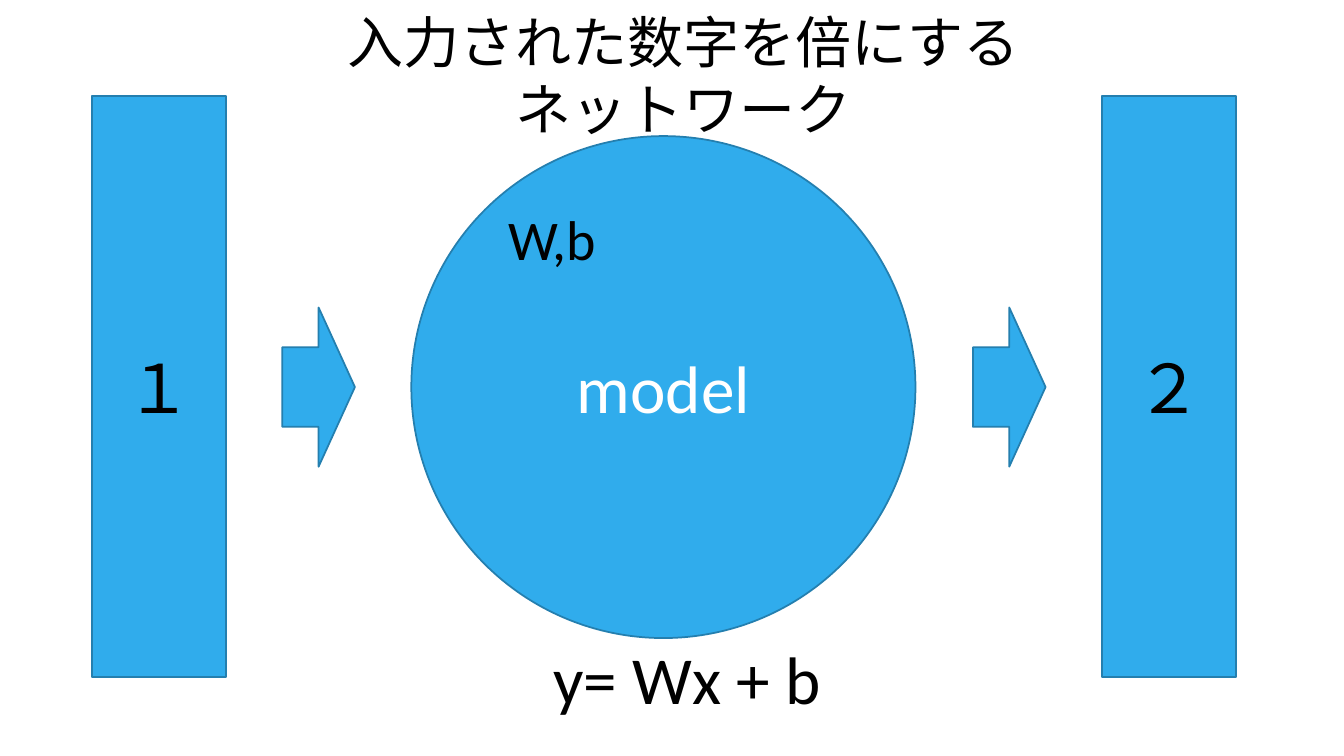
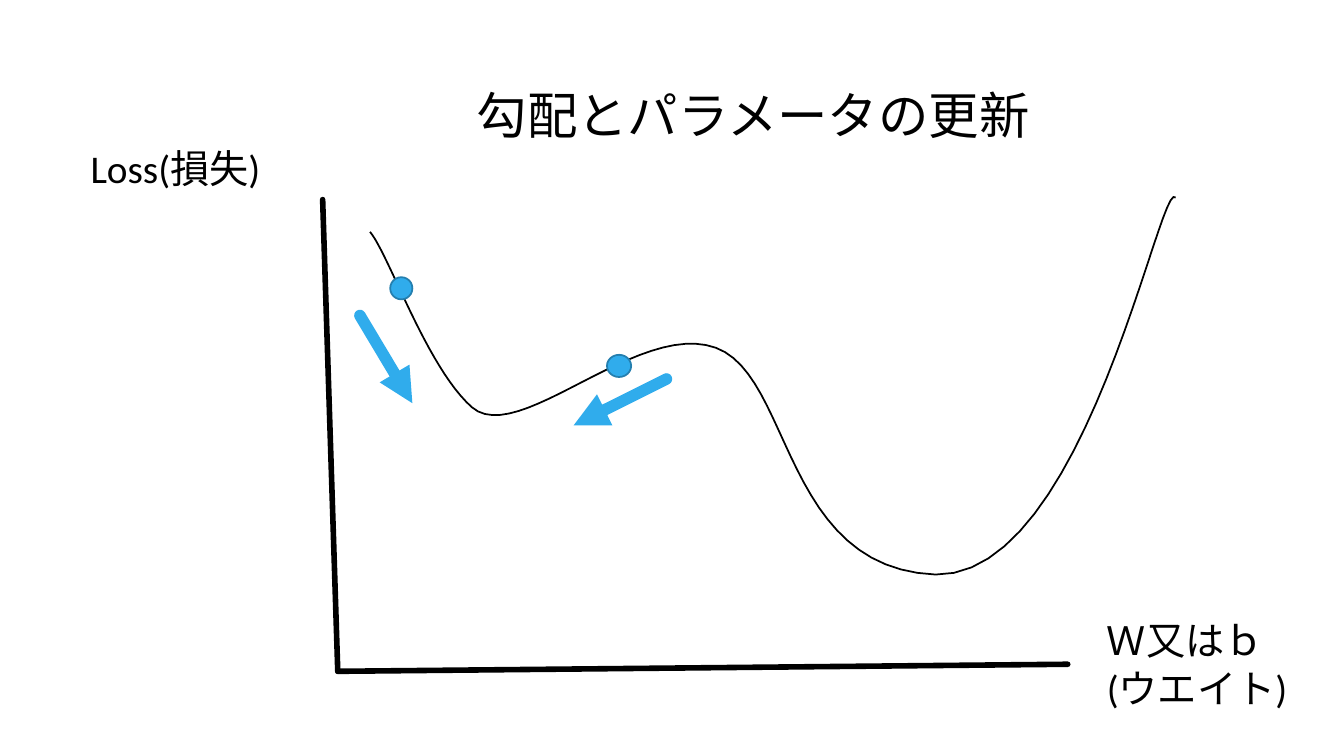
from dataclasses import dataclass
from typing import Any

from lxml import etree
from pptx import Presentation
from pptx import util as u
from pptx.dml.color import RGBColor
from pptx.enum import shapes, text
from pptx.oxml import ns

# Shared scale, colours and formats
PX = 9144  # EMU per px, 100 px to the inch
SLIDE_W, SLIDE_H = 1333, 750
BLUE = RGBColor(0x30, 0xAC, 0xEC)
EDGE = RGBColor(0x24, 0x7F, 0xAF)
BLACK = RGBColor(0, 0, 0)
WHITE = RGBColor(255, 255, 255)
FONT = "Calibri"
THIN, AXIS, ARROW = 1.25, 4, 8.25
CURVE_STEPS = 24
TITLE_FORMAT = {
    "word_wrap": True,
    "auto_size": text.MSO_AUTO_SIZE.NONE,
    "vertical_anchor": text.MSO_ANCHOR.MIDDLE,
}
LABEL_FORMAT = {"word_wrap": True, "auto_size": text.MSO_AUTO_SIZE.SHAPE_TO_FIT_TEXT}

Point = tuple[int, int]


@dataclass(frozen=True)
class Box:
    left: int
    top: int
    width: int
    height: int

    def emu(self) -> list[int]:
        return [v * PX for v in (self.left, self.top, self.width, self.height)]


@dataclass(frozen=True)
class Block:
    kind: shapes.MSO_SHAPE
    box: Box
    caption: str = ""
    color: RGBColor = BLACK


@dataclass(frozen=True)
class Label:
    box: Box
    words: str
    size: int


@dataclass(frozen=True)
class Stroke:
    start: Point
    end: Point
    color: RGBColor
    width: float
    has_head: bool = False


# Drawing functions
def set_format(target: Any, values: dict[str, Any]) -> None:
    for name, value in values.items():
        setattr(target, name, value)


def write(frame: Any, words: str, size: int, color: RGBColor = BLACK,
          align: Any = text.PP_ALIGN.CENTER) -> None:
    frame.text = words
    for paragraph in frame.paragraphs:
        paragraph.alignment = align
        set_format(paragraph.font, {"name": FONT, "size": u.Pt(size)})
        paragraph.font.color.rgb = color


def set_line(line: Any, color: RGBColor, width: float) -> None:
    line.color.rgb = color
    line.width = u.Pt(width)


def start_slide(deck: Any, title: str, box: Box, size: int) -> Any:
    slide = deck.slides.add_slide(deck.slide_layouts[5])
    heading = slide.shapes.title
    set_format(heading, dict(zip(("left", "top", "width", "height"), box.emu())))
    write(heading.text_frame, title, size)
    set_format(heading.text_frame, TITLE_FORMAT)
    return slide


def draw_block(slide: Any, block: Block) -> None:
    shape = slide.shapes.add_shape(block.kind, *block.box.emu())
    shape.shadow.inherit = False
    shape.fill.solid()
    shape.fill.fore_color.rgb = BLUE
    set_line(shape.line, EDGE, THIN)
    if block.caption:
        write(shape.text_frame, block.caption, 48, block.color)


def draw_label(slide: Any, label: Label) -> None:
    frame = slide.shapes.add_textbox(*label.box.emu()).text_frame
    set_format(frame, LABEL_FORMAT)
    write(frame, label.words, label.size, align=text.PP_ALIGN.LEFT)


def draw_stroke(parent: Any, stroke: Stroke) -> None:
    ends = [v * PX for v in (*stroke.start, *stroke.end)]
    line = parent.add_connector(shapes.MSO_CONNECTOR.STRAIGHT, *ends)
    set_line(line.line, stroke.color, stroke.width)
    properties = line.line._get_or_add_ln()
    properties.set("cap", "rnd")
    etree.SubElement(properties, ns.qn("a:round"))
    if stroke.has_head:
        etree.SubElement(properties, ns.qn("a:tailEnd"), type="triangle")
    etree.SubElement(line._element.spPr, ns.qn("a:effectLst"))


def bezier(start: Point, first: Point, second: Point, end: Point) -> list[tuple[float, float]]:
    points = []
    for step in range(1, CURVE_STEPS + 1):
        t = step / CURVE_STEPS
        weights = ((1 - t) ** 3, 3 * t * (1 - t) ** 2, 3 * t * t * (1 - t), t ** 3)
        corners = (start, first, second, end)
        points.append((sum(w * p[0] for w, p in zip(weights, corners)),
                       sum(w * p[1] for w, p in zip(weights, corners))))
    return points


def draw_curve(slide: Any, knots: list[Point]) -> None:
    points = []
    for i in range(0, len(knots) - 1, 3):
        points += bezier(*knots[i:i + 4])
    builder = slide.shapes.build_freeform(knots[0][0] * PX, knots[0][1] * PX)
    builder.add_line_segments([(round(x * PX), round(y * PX)) for x, y in points], close=False)
    curve = builder.convert_to_shape()
    curve.shadow.inherit = False
    curve.fill.background()
    set_line(curve.line, BLACK, THIN)


# Slide 1: network that doubles its input
def build_network(deck: Any) -> None:
    slide = start_slide(deck, "入力された数字を倍にする\vネットワーク", Box(130, -22, 1096, 192), 40)
    kinds = shapes.MSO_SHAPE
    draw_block(slide, Block(kinds.OVAL, Box(408, 135, 500, 498), "model", WHITE))
    for left, digit in ((91, "１"), (1093, "２")):
        draw_block(slide, Block(kinds.RECTANGLE, Box(left, 95, 133, 577), digit))
    for left in (280, 965):
        draw_block(slide, Block(kinds.RIGHT_ARROW, Box(left, 305, 72, 158)))
    draw_label(slide, Label(Box(539, 627, 397, 91), "y= Wx + b", 48))
    draw_label(slide, Label(Box(495, 198, 326, 77), "W,b", 40))


# Slide 2: loss curve and gradient steps
def build_gradient(deck: Any) -> None:
    slide = start_slide(deck, "勾配とパラメータの更新", Box(435, 69, 624, 89), 36)
    axes = slide.shapes.add_group_shape().shapes
    origin = (335, 666)
    for tip in ((320, 198), (1059, 659)):
        draw_stroke(axes, Stroke(origin, tip, BLACK, AXIS))
    draw_label(slide, Label(Box(80, 138, 234, 57), "Loss(損失)", 28))
    draw_label(slide, Label(Box(1088, 607, 234, 104), "Ｗ又はｂ\n(ウエイト)", 28))
    draw_curve(slide, [
        (367, 230), (386, 253), (423, 364), (468, 404), (514, 444), (633, 317), (710, 345),
        (786, 373), (776, 564), (928, 570), (1077, 573), (1151, 174), (1166, 196),
    ])
    for position in (Box(387, 275, 22, 22), Box(602, 352, 24, 22)):
        draw_block(slide, Block(shapes.MSO_SHAPE.OVAL, position))
    for start, end in (((357, 313), (409, 400)), ((661, 376), (569, 422))):
        draw_stroke(slide.shapes, Stroke(start, end, BLUE, ARROW, has_head=True))


def main() -> None:
    deck = Presentation()
    deck.slide_width, deck.slide_height = SLIDE_W * PX, SLIDE_H * PX
    build_network(deck)
    build_gradient(deck)
    deck.save("out.pptx")


if __name__ == "__main__":
    main()
